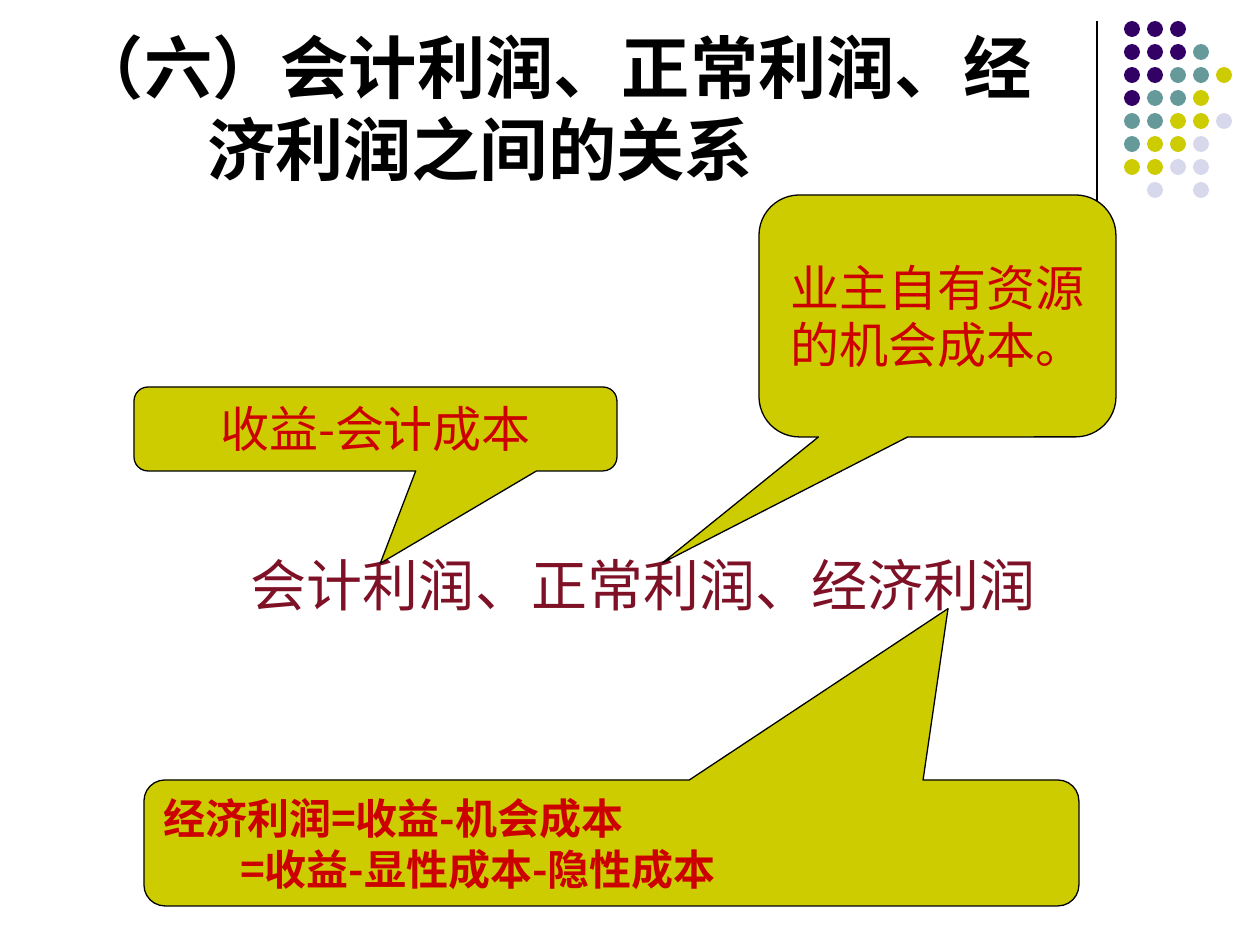
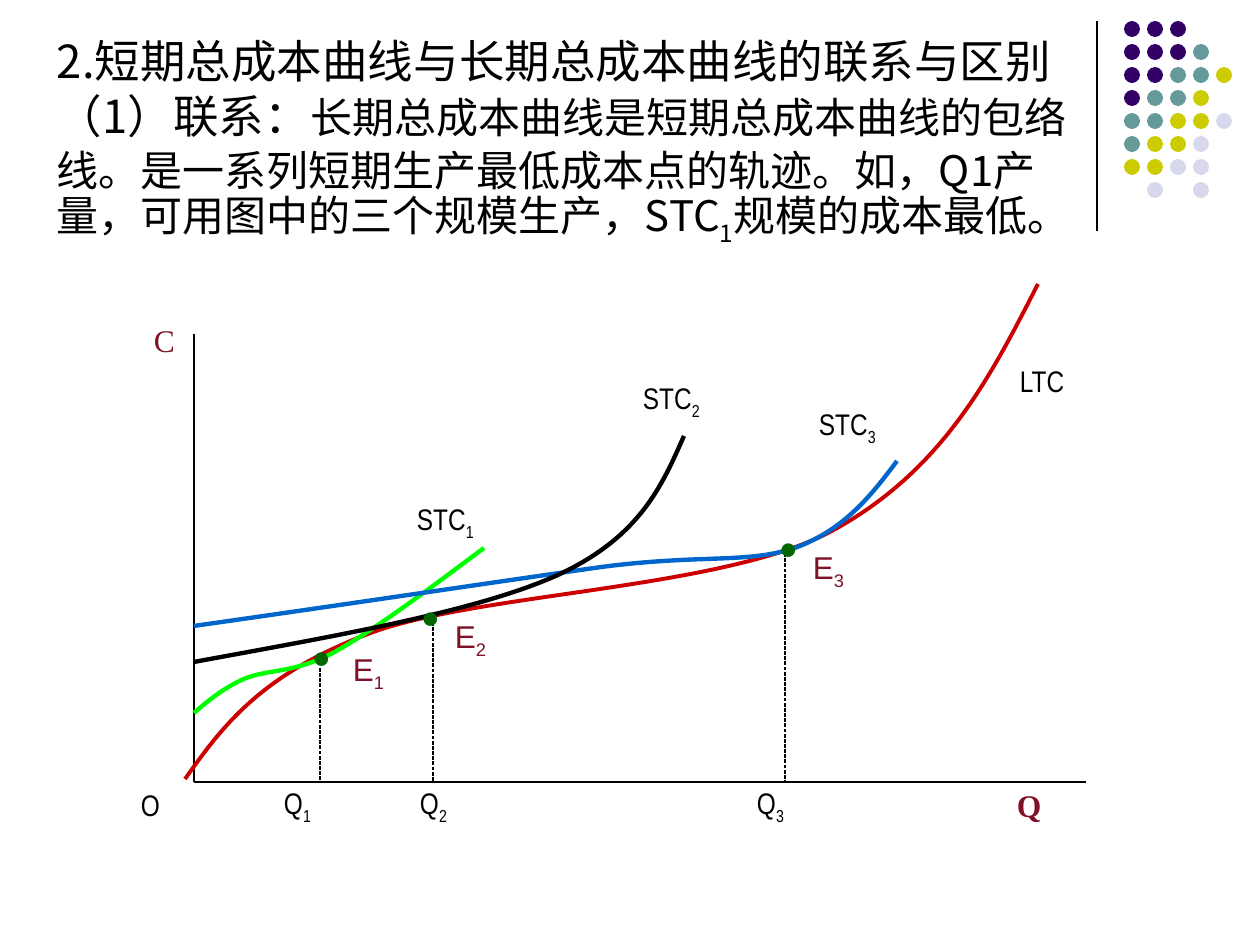
from lxml import etree
from pptx import Presentation
from pptx.dml.color import RGBColor
from pptx.enum.dml import MSO_LINE
from pptx.enum.shapes import MSO_CONNECTOR, MSO_SHAPE
from pptx.enum.text import MSO_ANCHOR, PP_ALIGN
from pptx.oxml.ns import qn
from pptx.util import Pt

PX = 914400 / 126
SLIDE_W, SLIDE_H = 1260, 945

BLACK = RGBColor(0x00, 0x00, 0x00)
PURPLE = RGBColor(0x33, 0x00, 0x66)
TEAL = RGBColor(0x66, 0x99, 0x99)
OLIVE = RGBColor(0xCC, 0xCC, 0x00)
LAVENDER = RGBColor(0xD8, 0xD8, 0xEC)
RED = RGBColor(0xCC, 0x00, 0x00)
MAROON = RGBColor(0x7E, 0x11, 0x26)
GREEN = RGBColor(0x00, 0xFF, 0x00)
DARK_GREEN = RGBColor(0x00, 0x66, 0x00)
BLUE = RGBColor(0x00, 0x66, 0xCC)

CJK, NARROW, SANS, SERIF = "Noto Sans CJK SC", "Arial Narrow", "Arial", "Times New Roman"
LEFT, CENTER = PP_ALIGN.LEFT, PP_ALIGN.CENTER
TOP, MIDDLE, BOTTOM = MSO_ANCHOR.TOP, MSO_ANCHOR.MIDDLE, MSO_ANCHOR.BOTTOM
STRAIGHT, DOTTED = MSO_CONNECTOR.STRAIGHT, MSO_LINE.SQUARE_DOT
OVAL, CALLOUT = MSO_SHAPE.OVAL, MSO_SHAPE.ROUNDED_RECTANGULAR_CALLOUT

DOT_ROWS = ["PPP", "PPPT", "PPTTY", "PTTY", "TTYYL", "TYYL", "YYLL", " L L"]
DOT_COLORS = {"P": PURPLE, "T": TEAL, "Y": OLIVE, "L": LAVENDER}


def px(*lengths):
    return [round(n * PX) for n in lengths]


def add_run(p, text, size, font, color, bold, subscript=False):
    r = p.add_run()
    r.text = text
    r.font.size = Pt(size)
    r.font.bold = bold
    r.font.color.rgb = color
    r.font.name = font
    rPr = r._r.get_or_add_rPr()
    etree.SubElement(rPr, qn("a:ea")).set("typeface", CJK)
    if subscript:
        rPr.set("baseline", "-25000")


def write(tf, *paragraphs, size, font=NARROW, color=BLACK, bold=False, align=LEFT,
          anchor=TOP, inset=(13, 6), leading=None):
    """Fill a frame; a paragraph is a text or a list of (text, size), and _ lowers the next character."""
    tf.word_wrap = True
    tf.vertical_anchor = anchor
    tf.margin_left = tf.margin_right = px(inset[0])[0]
    tf.margin_top = tf.margin_bottom = px(inset[1])[0]
    for i, content in enumerate(paragraphs):
        p = tf.add_paragraph() if i else tf.paragraphs[0]
        p.alignment = align
        p._p.get_or_add_pPr().set("hangingPunct", "0")
        if leading:
            p.line_spacing = Pt(leading)
        for text, run_size in [(content, size)] if isinstance(content, str) else content:
            plain, *lowered = text.split("_")
            add_run(p, plain, run_size, font, color, bold)
            for part in lowered:
                add_run(p, part[0], run_size, font, color, bold, subscript=True)
                if part[1:]:
                    add_run(p, part[1:], run_size, font, color, bold)
    return tf


def indent(p, left, first=0):
    pPr = p._p.get_or_add_pPr()
    for name, value in zip(("marL", "indent"), px(left, first)):
        pPr.set(name, str(value))


def add_text(s, box, *paragraphs, **style):
    return write(s.shapes.add_textbox(*px(*box)).text_frame, *paragraphs, **style)


def add_line(s, x1, y1, x2, y2, dash=None):
    c = s.shapes.add_connector(STRAIGHT, *px(x1, y1, x2, y2))
    c.line.color.rgb = BLACK
    c.line.width = Pt(0.75)
    if dash:
        c.line.dash_style = dash
    etree.SubElement(c._element.spPr, qn("a:effectLst"))


def add_curve(s, x, y, points, color, width):
    """Draw a chain of cubic Bezier arcs: a start, then three points for each arc."""
    start, *rest = [(x + dx, y + dy) for dx, dy in points]
    builder = s.shapes.build_freeform(*start, scale=PX)
    builder.add_line_segments(rest, close=False)
    sp = builder.convert_to_shape()
    sp.shadow.inherit = False
    sp.fill.background()
    sp.line.color.rgb = color
    sp.line.width = Pt(width)
    path = next(sp._element.iter(qn("a:path")))
    segments = path.findall(qn("a:lnTo"))
    for i in range(0, len(segments), 3):
        arc = etree.SubElement(path, qn("a:cubicBezTo"))
        for segment in segments[i:i + 3]:
            arc.append(segment[0])
            path.remove(segment)


def add_dots(s, x, y, pitch=23, size=16):
    group = s.shapes.add_group_shape()
    for row, keys in enumerate(DOT_ROWS):
        for col, key in enumerate(keys):
            if key in DOT_COLORS:
                dot = group.shapes.add_shape(
                    OVAL, *px(x + col * pitch, y + row * pitch, size, size))
                dot.shadow.inherit = False
                dot.fill.solid()
                dot.fill.fore_color.rgb = DOT_COLORS[key]
                dot.line.fill.background()


def new_slide(prs):
    s = prs.slides.add_slide(prs.slide_layouts[6])
    add_line(s, 1097, 21, 1097, 231)
    add_dots(s, 1124, 21)
    return s


def add_callout(s, box, tip, *paragraphs, **style):
    """tip is the pointer's end, as shares of the box measured from its centre."""
    sp = s.shapes.add_shape(CALLOUT, *px(*box))
    sp.shadow.inherit = False
    sp.fill.solid()
    sp.fill.fore_color.rgb = OLIVE
    sp.line.color.rgb = BLACK
    sp.line.width = Pt(0.75)
    sp.adjustments[0], sp.adjustments[1] = tip
    return write(sp.text_frame, *paragraphs, color=RED, anchor=MIDDLE, **style)


def profit_slide(prs):
    s = new_slide(prs)
    title = add_text(s, (63, 16, 1040, 179), "（六）会计利润、正常利润、经济利润之间的关系",
                     size=39, bold=True, anchor=BOTTOM, leading=47)
    indent(title.paragraphs[0], 131, -131)
    add_text(s, (176, 544, 935, 81), "会计利润、正常利润、经济利润",
             size=32, color=MAROON, align=CENTER, anchor=MIDDLE, leading=38)
    add_callout(s, (134, 387, 483, 84), (0.01, 1.6), "收益-会计成本",
                size=28, font=CJK, align=CENTER, leading=33)
    add_callout(s, (759, 195, 357, 242), (-0.77, 1.02), "业主自有资源的机会成本。",
                size=28, align=CENTER, leading=33)
    formula = add_callout(s, (144, 780, 935, 126), (0.36, -1.86), "经济利润=收益-机会成本",
                          "=收益-显性成本-隐性成本",
                          size=24, font=CJK, bold=True, leading=29)
    indent(formula.paragraphs[1], 77)


def cost_graph(s, x, y, w, h):
    def label(dx, dy, text, width=140, **style):
        style = {"size": 17, "inset": (9, 5)} | style
        return add_text(s, (x + dx, y + dy, width, 52), text, **style)

    add_line(s, x, y + 50, x, y + h)
    add_line(s, x, y + h, x + w, y + h)
    curves = [
        (RED, 2.25, [(-9, 495), (28, 443), (66, 391), (174, 350), (281, 309), (525, 306),
                     (636, 248), (748, 188), (796, 94), (844, 0)]),
        (GREEN, 2.5, [(0, 429), (14, 417), (28, 405), (50, 395), (74, 385), (98, 390),
                      (139, 369), (179, 347), (234, 306), (290, 264)]),
        (BLUE, 2.5, [(0, 342), (155, 320), (309, 297), (408, 283), (509, 270), (552, 280),
                     (601, 264), (650, 246), (677, 212), (703, 177)]),
        (BLACK, 2.5, [(0, 378), (141, 352), (282, 328), (364, 291), (446, 253), (468, 202),
                      (490, 152)]),
    ]
    for color, width, points in curves:
        add_curve(s, x, y, points, color, width)

    curve_labels = [("LTC", 817, 74), ("STC_1", 214, 212), ("STC_2", 440, 91),
                    ("STC_3", 616, 117), ("O", -62, h)]
    for text, dx, dy in curve_labels:
        label(dx, dy, text)
    label(-49, 32, "C", size=18, font=SERIF, color=MAROON)
    quantity = label(645, h - 2, "Q", width=229, size=18, font=SERIF, color=MAROON,
                     bold=True, inset=(13, 6))
    indent(quantity.paragraphs[0], 165)

    # drop line x and top, Q label x, dot box, E label box
    tangencies = [(126, 384, 81, (105, 347), (146, 360)),
                  (239, 333, 217, (214, 307), (248, 327)),
                  (591, 264, 554, (572, 238), (606, 258))]
    for n, (drop_x, drop_y, q_x, dot, e) in enumerate(tangencies, 1):
        add_line(s, x + drop_x, y + drop_y, x + drop_x, y + h, DOTTED)
        label(q_x, h - 2, f"Q_{n}", width=68)
        label(*dot, "●", width=60, size=18, font=SANS, color=DARK_GREEN, inset=(13, 6))
        label(*e, f"E_{n}", width=75, size=18, font=SANS, color=MAROON, inset=(13, 6))


def cost_curve_slide(prs):
    s = new_slide(prs)
    tf = add_text(s, (44, 26, 1071, 294),
                  "2.短期总成本曲线与长期总成本曲线的联系与区别",
                  [("（1）联系：", 26),
                   ("长期总成本曲线是短期总成本曲线的包络线。是一系列短期生产最低成本点的轨迹。"
                    "如，Q1产量，可用图中的三个规模生产，STC_1规模的成本最低。", 24)],
                  size=26, font=CJK, leading=30)
    heading, body = tf.paragraphs
    heading.line_spacing = Pt(32)
    body.space_before = Pt(1)
    cost_graph(s, 194, 284, 892, 498)


def main():
    prs = Presentation()
    prs.slide_width, prs.slide_height = px(SLIDE_W, SLIDE_H)
    profit_slide(prs)
    cost_curve_slide(prs)
    prs.save("out.pptx")


if __name__ == "__main__":
    main()
